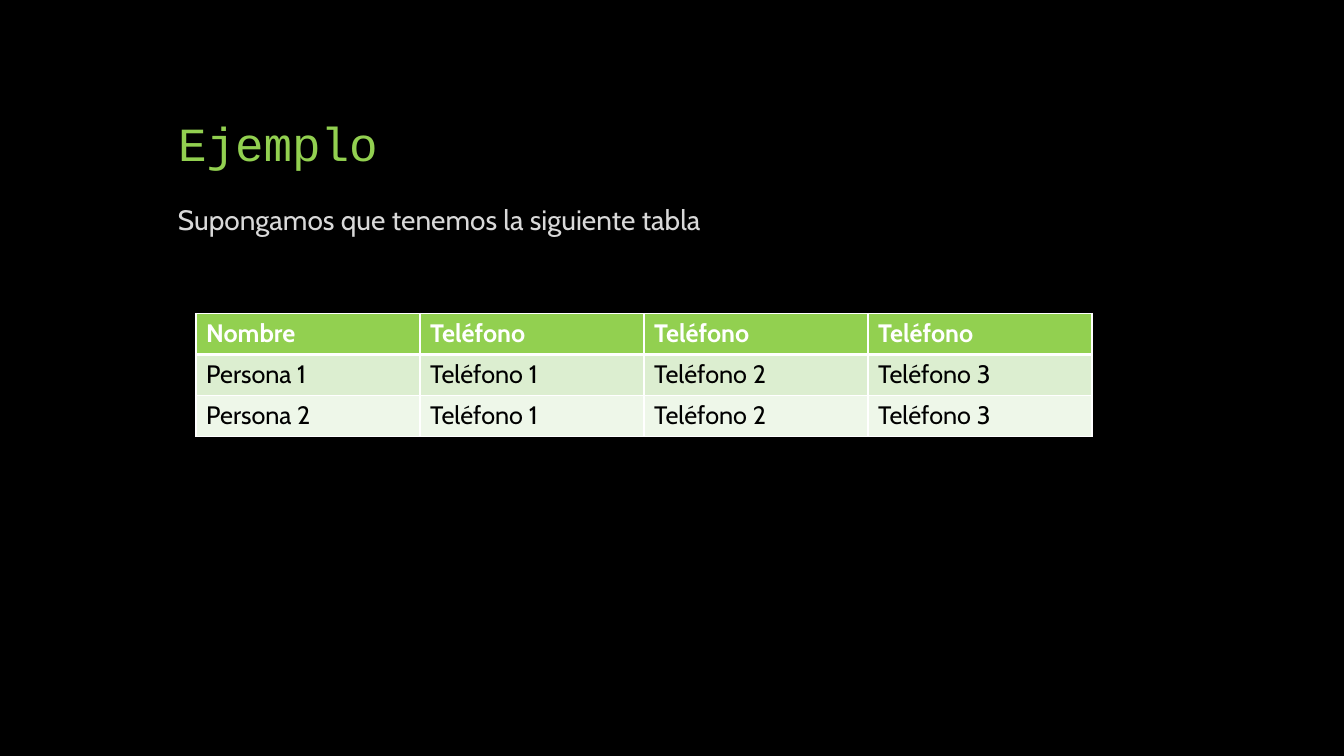
from dataclasses import dataclass

from lxml.etree import SubElement
from pptx import Presentation
from pptx.dml.color import RGBColor
from pptx.enum.text import MSO_ANCHOR, PP_ALIGN
from pptx.oxml.ns import qn
from pptx.util import Inches, Pt

GRID_COLUMNS, GRID_ROWS = 48, 30
TITLE_ONLY_LAYOUT = 5


@dataclass(frozen=True)
class Theme:
    background: str = "000000"
    accent: str = "92D050"
    body_text: str = "D9D9D9"
    header_text: str = "FFFFFF"
    cell_text: str = "000000"
    border: str = "FFFFFF"
    bands: tuple = ("DCEED0", "EEF7E9")
    title_font: str = "Courier New"
    body_font: str = "Cabin"
    title_size: int = 34
    body_size: int = 20
    table_size: int = 18
    thin_line: int = 1
    thick_line: int = 3
    line_spacing: float = 0.9


class SlideBuilder:
    def __init__(self, presentation, theme):
        self.theme = theme
        self.column = presentation.slide_width / GRID_COLUMNS
        self.row = presentation.slide_height / GRID_ROWS
        self.slide = presentation.slides.add_slide(
            presentation.slide_layouts[TITLE_ONLY_LAYOUT])
        background = self.slide.background.fill
        background.solid()
        background.fore_color.rgb = RGBColor.from_string(theme.background)

    def place(self, left, top, width, height):
        """Turn grid columns and rows into slide lengths."""
        return (round(left * self.column), round(top * self.row),
                round(width * self.column), round(height * self.row))

    def format_paragraph(self, paragraph, font_name, size, color, bold=False):
        paragraph.alignment = PP_ALIGN.LEFT
        font = paragraph.font
        font.name, font.size, font.bold = font_name, Pt(size), bold
        font.color.rgb = RGBColor.from_string(color)

    def fill_text(self, shape, text, anchor, font_name, size, color):
        frame = shape.text_frame
        frame.text = text
        frame.word_wrap = True
        frame.vertical_anchor = anchor
        paragraph = frame.paragraphs[0]
        paragraph.line_spacing = self.theme.line_spacing
        self.format_paragraph(paragraph, font_name, size, color)

    def title(self, text, *area):
        shape = self.slide.shapes.title
        shape.left, shape.top, shape.width, shape.height = self.place(*area)
        self.fill_text(shape, text, MSO_ANCHOR.BOTTOM, self.theme.title_font,
                       self.theme.title_size, self.theme.accent)

    def text(self, text, *area):
        shape = self.slide.shapes.add_textbox(*self.place(*area))
        self.fill_text(shape, text, MSO_ANCHOR.TOP, self.theme.body_font,
                       self.theme.body_size, self.theme.body_text)

    def cell_borders(self, cell, top, bottom):
        thin = self.theme.thin_line
        properties = cell._tc.get_or_add_tcPr()
        for side, width in (("L", thin), ("R", thin), ("T", top), ("B", bottom)):
            line = SubElement(properties, qn(f"a:ln{side}"), w=str(Pt(width)))
            fill = SubElement(line, qn("a:solidFill"))
            SubElement(fill, qn("a:srgbClr"), val=self.theme.border)

    def table(self, records, *area):
        theme = self.theme
        table = self.slide.shapes.add_table(
            len(records), len(records[0]), *self.place(*area)).table
        for row_index, record in enumerate(records):
            is_header = row_index == 0
            fill_color = (theme.accent if is_header
                          else theme.bands[(row_index - 1) % len(theme.bands)])
            text_color = theme.header_text if is_header else theme.cell_text
            top = theme.thick_line if row_index == 1 else theme.thin_line
            bottom = theme.thick_line if is_header else theme.thin_line
            for column_index, value in enumerate(record):
                cell = table.cell(row_index, column_index)
                cell.text = value
                self.format_paragraph(cell.text_frame.paragraphs[0], theme.body_font,
                                      theme.table_size, text_color, is_header)
                self.cell_borders(cell, top, bottom)
                cell.fill.solid()
                cell.fill.fore_color.rgb = RGBColor.from_string(fill_color)


def main():
    presentation = Presentation()
    presentation.slide_width, presentation.slide_height = Inches(13.33), Inches(7.5)
    builder = SlideBuilder(presentation, Theme())

    # Heading and introduction
    builder.title("Ejemplo", 6, 2, 37.8, 5)
    builder.text("Supongamos que tenemos la siguiente tabla", 6, 8, 36, 18.67)

    # Phone table
    phones = [f"Teléfono {number}" for number in range(1, 4)]
    people = [[f"Persona {number}", *phones] for number in range(1, 3)]
    header = ["Nombre"] + ["Teléfono"] * len(phones)
    builder.table([header, *people], 7, 12.44, 32, 4.88)

    presentation.save("out.pptx")


if __name__ == "__main__":
    main()
